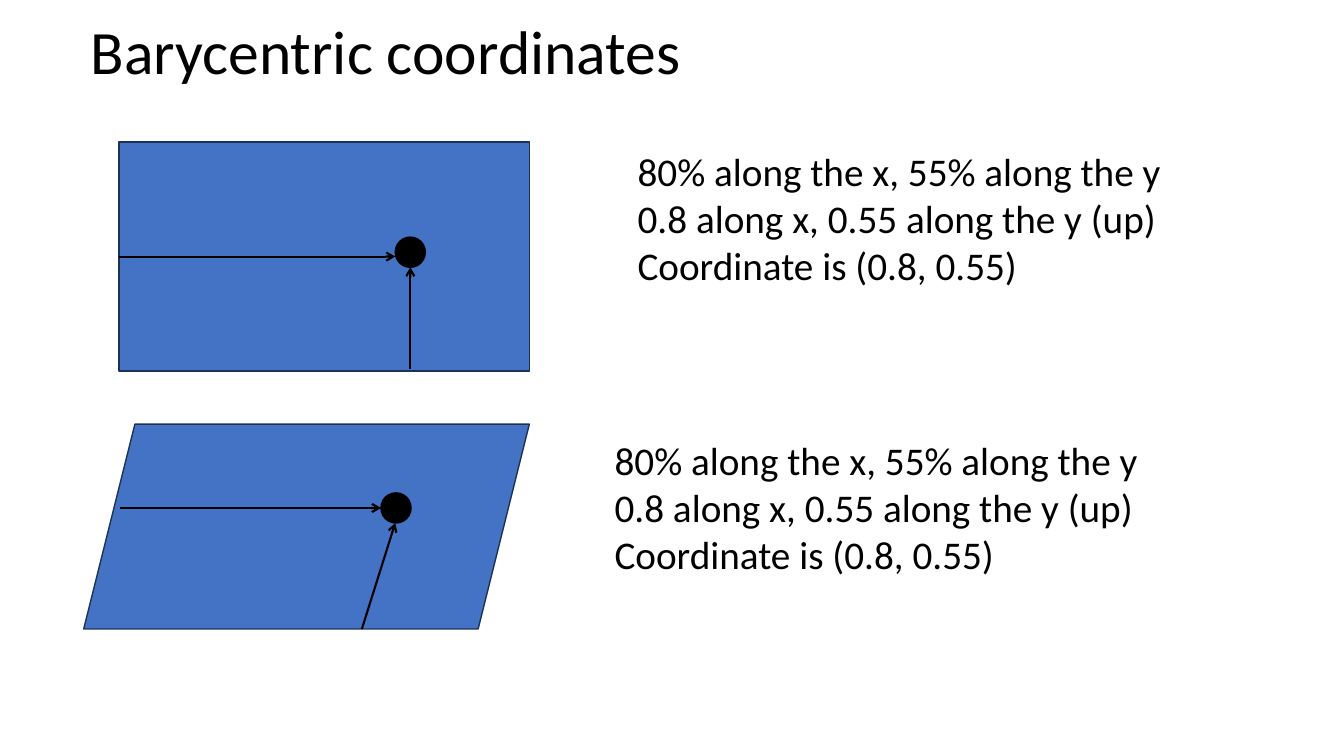
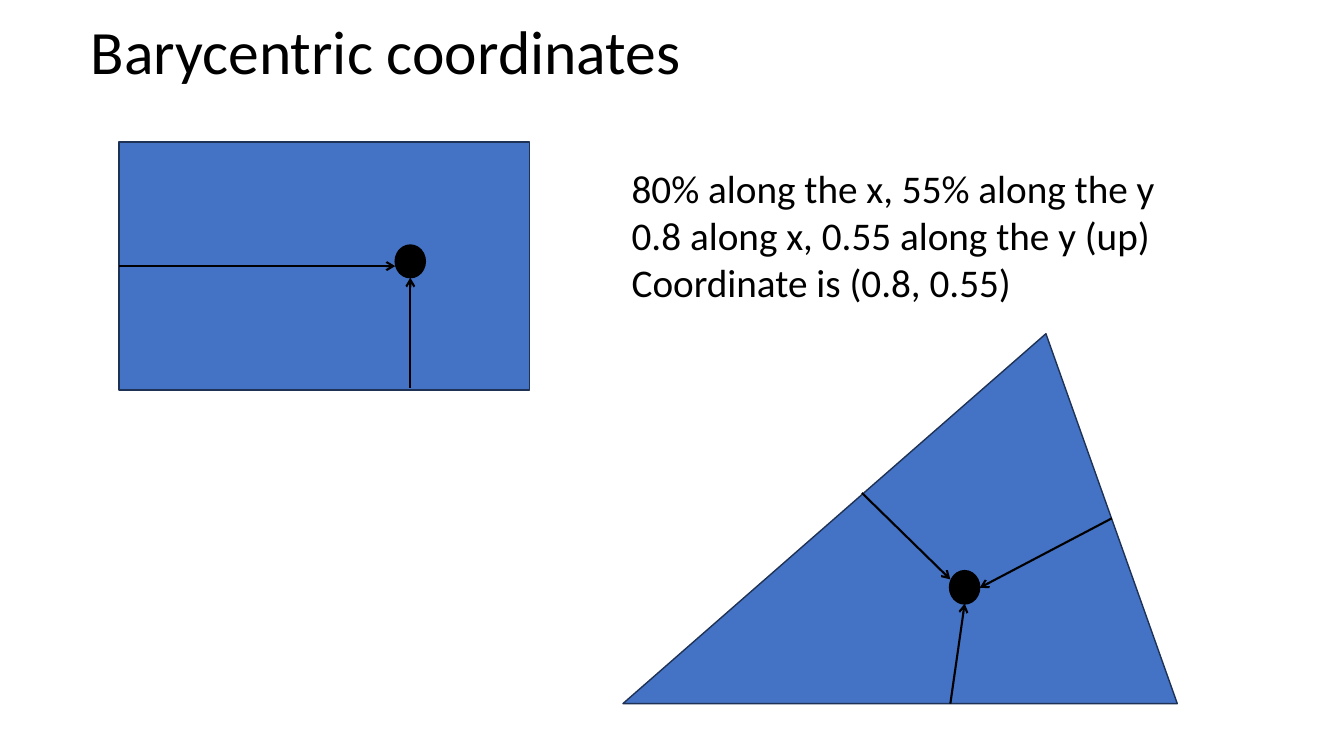
import pptx
import pptx.util
import pptx.dml.color
import pptx.enum.shapes
import pptx.enum.text
import pptx.oxml
from dataclasses import dataclass

Cm, Pt = pptx.util.Cm, pptx.util.Pt
Kind = pptx.enum.shapes.MSO_SHAPE
Anchor = pptx.enum.text.MSO_ANCHOR
Align = pptx.enum.text.PP_ALIGN


@dataclass(frozen=True)
class Theme:
    font: str = "Calibri"
    ink: str = "000000"
    fill: str = "4472C4"
    edge: str = "1E3256"
    head: int = 44
    body: int = 28
    thin: float = 1
    thick: float = 1.5


theme = Theme()

# Content: lengths in centimetres, arrows as (x1, y1, x2, y2)
title = "Barycentric coordinates"
notes = [
    "80% along the x, 55% along the y",
    "0.8 along x, 0.55 along the y (up)",
    "Coordinate is (0.8, 0.55)",
]
slant = dict(
    kind=Kind.PARALLELOGRAM, at=(2.11, 10.69, 11.23, 5.16), adj=0.25,
    dot=(9.6, 12.42, 0.76, 0.76),
    arrows=[(9.12, 15.85, 9.96, 13.18), (3.02, 12.8, 9.6, 12.8)],
)
wedge = dict(
    kind=Kind.ISOSCELES_TRIANGLE, at=(15.7, 8.41, 13.97, 9.32), adj=0.763,
    dot=(23.93, 14.38, 0.76, 0.84),
    arrows=[(21.72, 12.42, 23.95, 14.6), (28.02, 13.06, 24.69, 14.81),
            (23.95, 17.73, 24.31, 15.21)],
)
pages = [
    dict(tall=5.77, figure=slant, spots=[(15.82, 3.58), (15.24, 10.87)]),
    dict(tall=6.25, figure=wedge, spots=[(15.67, 4.01)]),
]


def tint(code):
    return pptx.dml.color.RGBColor.from_string(code)


def write(frame, lines, size=theme.body, color=theme.ink,
          anchor=Anchor.TOP, space=1.0):
    frame.word_wrap = True
    frame.vertical_anchor = anchor
    for i, line in enumerate(lines):
        para = frame.add_paragraph() if i else frame.paragraphs[0]
        para.alignment = Align.LEFT
        para.line_spacing = space
        run = para.add_run()
        run.text = line
        run.font.name = theme.font
        run.font.size = Pt(size)
        run.font.color.rgb = tint(color)


def shape(slide, kind, at, fill=theme.fill, edge=theme.edge, adj=None):
    item = slide.shapes.add_shape(kind, *map(Cm, at))
    item.shadow.inherit = False
    item.fill.solid()
    item.fill.fore_color.rgb = tint(fill)
    item.line.color.rgb = tint(edge)
    item.line.width = Pt(theme.thin)
    if adj is not None:
        item.adjustments[0] = adj


def arrow(slide, ends):
    item = slide.shapes.add_connector(
        pptx.enum.shapes.MSO_CONNECTOR.STRAIGHT, *map(Cm, ends))
    item.line.color.rgb = tint(theme.ink)
    item.line.width = Pt(theme.thick)
    # Arrowhead, and no shadow
    props = item._element.spPr
    tip = pptx.oxml.parse_xml(
        '<a:tailEnd xmlns:a="http://schemas.openxmlformats.org/'
        'drawingml/2006/main" type="arrow"/>')
    item.line._get_or_add_ln().append(tip)
    props.append(props.makeelement(tip.tag.replace("tailEnd", "effectLst"), {}))


def draw(slide, kind, at, dot, arrows, adj=None):
    shape(slide, kind, at, adj=adj)
    shape(slide, Kind.OVAL, dot, theme.ink, theme.ink)
    for ends in arrows:
        arrow(slide, ends)


def block(tall):
    """Rectangle whose point and arrows follow its height."""
    x, y, wide, size = 3.0, 3.58, 10.34, 0.76
    left, top, high = 9.96, y + 0.415 * tall, 0.132 * tall
    mid, row = left + size / 2, y + tall / 2
    return dict(
        kind=Kind.RECTANGLE, at=(x, y, wide, tall),
        dot=(left, top, size, high),
        arrows=[(x, row, left, row), (mid, y + 0.99 * tall, mid, top + high)],
    )


def main():
    deck = pptx.Presentation()
    deck.slide_width, deck.slide_height = Cm(33.87), Cm(19.05)

    # Shared title place
    layout = deck.slide_layouts.get_by_name("Title Only")
    head = layout.placeholders[0]
    head.left, head.top, head.width, head.height = map(
        Cm, (2.03, 0.38, 29.21, 1.98))

    for page in pages:
        slide = deck.slides.add_slide(layout)
        write(slide.shapes.title.text_frame, [title], size=theme.head,
              anchor=Anchor.MIDDLE, space=0.9)
        draw(slide, **page["figure"])
        draw(slide, **block(page["tall"]))
        for spot in page["spots"]:
            area = slide.shapes.add_textbox(*map(Cm, (*spot, 17.35, 3.84)))
            write(area.text_frame, notes)

    deck.save("out.pptx")


if __name__ == "__main__":
    main()
